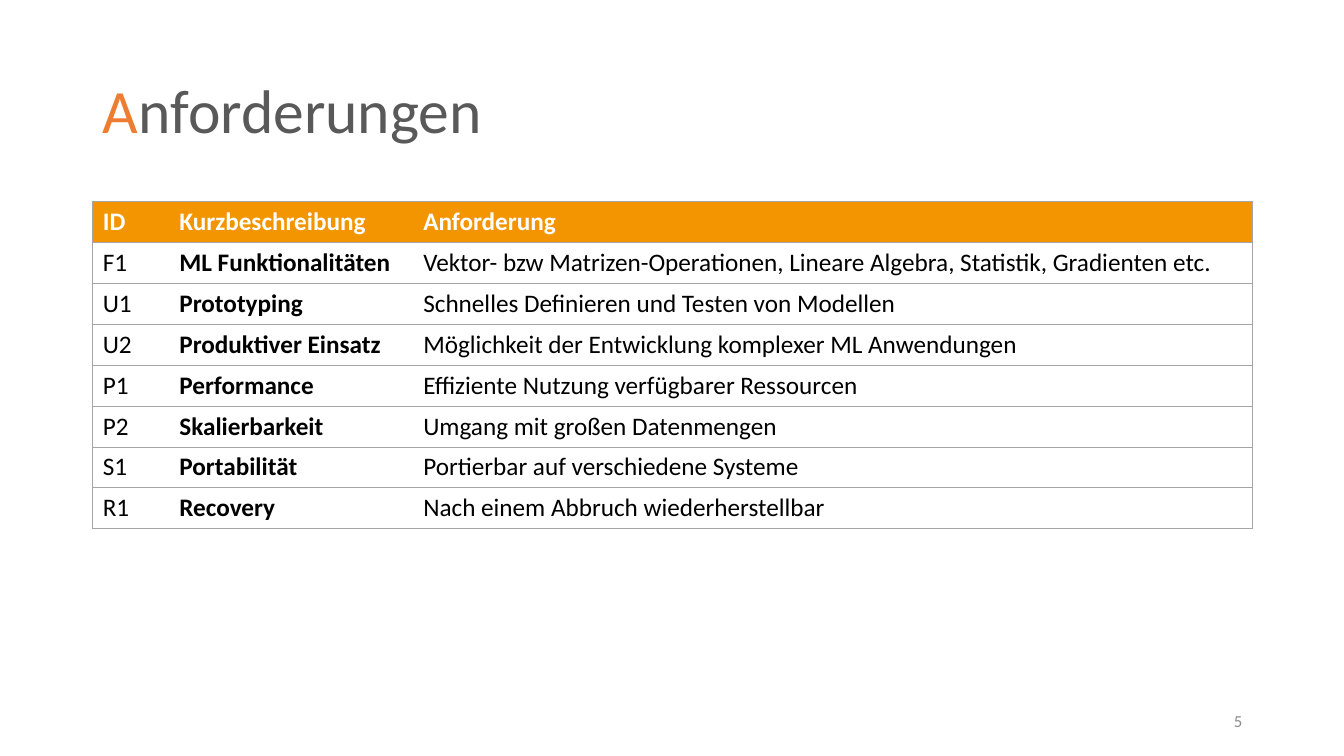
from lxml.etree import SubElement
from pptx import Presentation
from pptx.dml.color import RGBColor
from pptx.enum.text import MSO_ANCHOR, PP_ALIGN
from pptx.oxml.ns import qn
from pptx.util import Inches, Pt

ORANGE, ACCENT, GREY = "F39500", "ED7D31", "595959"
LINE, MUTED, BLACK, WHITE = "A5A5A5", "8C8C8C", "000000", "FFFFFF"


def rgb(value):
    return RGBColor.from_string(value)


def apply(target, values):
    for name, value in values.items():
        setattr(target, name, value)


class RequirementsSlide:
    """Holds the style and the slide; lengths are percent of the slide's size."""
    font = "Calibri"
    line_width = Pt(0.5)

    def __init__(self, prs):
        self.width, self.height = prs.slide_width, prs.slide_height
        self.slide = prs.slides.add_slide(prs.slide_layouts[5])

    def box(self, left, top, width, height):
        return (round(self.width * left / 100), round(self.height * top / 100),
                round(self.width * width / 100), round(self.height * height / 100))

    def add_text(self, paragraph, text, size, color, bold=False):
        run = paragraph.add_run()
        run.text = text
        apply(run.font, {"name": self.font, "size": Pt(size), "bold": bold})
        run.font.color.rgb = rgb(color)

    def title(self, runs, *place):
        heading = self.slide.shapes.title
        apply(heading, dict(zip(("left", "top", "width", "height"), self.box(*place))))
        apply(heading.text_frame, {"word_wrap": True, "vertical_anchor": MSO_ANCHOR.MIDDLE})
        line = heading.text_frame.paragraphs[0]
        apply(line, {"alignment": PP_ALIGN.LEFT, "line_spacing": 0.9})
        for text, color in runs:
            self.add_text(line, text, 44, color)

    def page_number(self, text, *place):
        frame = self.slide.shapes.add_textbox(*self.box(*place)).text_frame
        apply(frame, {"word_wrap": True, "vertical_anchor": MSO_ANCHOR.MIDDLE})
        frame.paragraphs[0].alignment = PP_ALIGN.RIGHT
        self.add_text(frame.paragraphs[0], text, 12, MUTED)

    def borders(self, cell, drawn):
        properties = cell._tc.get_or_add_tcPr()
        for side in "LRTB":
            border = SubElement(properties, qn(f"a:ln{side}"), w=str(self.line_width))
            if side in drawn:
                fill = SubElement(border, qn("a:solidFill"))
                SubElement(fill, qn("a:srgbClr"), val=LINE)
            else:
                SubElement(border, qn("a:noFill"))

    def table(self, rows, left, top, widths, row_height):
        last = len(widths) - 1
        place = self.box(left, top, sum(widths), row_height * len(rows))
        grid = self.slide.shapes.add_table(len(rows), len(widths), *place).table
        apply(grid, {"first_row": False, "horz_banding": False})
        for column, share in zip(grid.columns, widths):
            column.width = round(self.width * share / 100)
        for r, texts in enumerate(rows):
            header = r == 0
            for c, text in enumerate(texts):
                cell = grid.cell(r, c)
                # Rules between rows and around the table, none between columns
                self.borders(cell, "TB" + "L" * (c == 0) + "R" * (c == last))
                cell.fill.solid()
                cell.fill.fore_color.rgb = rgb(ORANGE if header else WHITE)
                self.add_text(cell.text_frame.paragraphs[0], text, 18,
                              WHITE if header else BLACK, bold=header or c == 1)


def main():
    prs = Presentation()
    apply(prs, {"slide_width": Inches(13.33), "slide_height": Inches(7.5)})
    page = RequirementsSlide(prs)

    # Title with coloured initial
    page.title([("A", ACCENT), ("nforderungen", GREY)], 6.9, 5.33, 86.27, 19.33)

    # Requirements
    requirements = [
        ("ID", "Kurzbeschreibung", "Anforderung"),
        ("F1", "ML Funktionalitäten",
         "Vektor- bzw Matrizen-Operationen, Lineare Algebra, Statistik, Gradienten etc."),
        ("U1", "Prototyping", "Schnelles Definieren und Testen von Modellen"),
        ("U2", "Produktiver Einsatz", "Möglichkeit der Entwicklung komplexer ML Anwendungen"),
        ("P1", "Performance", "Effiziente Nutzung verfügbarer Ressourcen"),
        ("P2", "Skalierbarkeit", "Umgang mit großen Datenmengen"),
        ("S1", "Portabilität", "Portierbar auf verschiedene Systeme"),
        ("R1", "Recovery", "Nach einem Abbruch wiederherstellbar"),
    ]
    page.table(requirements, 6.9, 26.67, widths=(5.7, 18.15, 62.42), row_height=5.4)

    # Page number
    page.page_number("5", 70.67, 92.67, 22.5, 5.33)
    prs.save("out.pptx")


if __name__ == "__main__":
    main()
